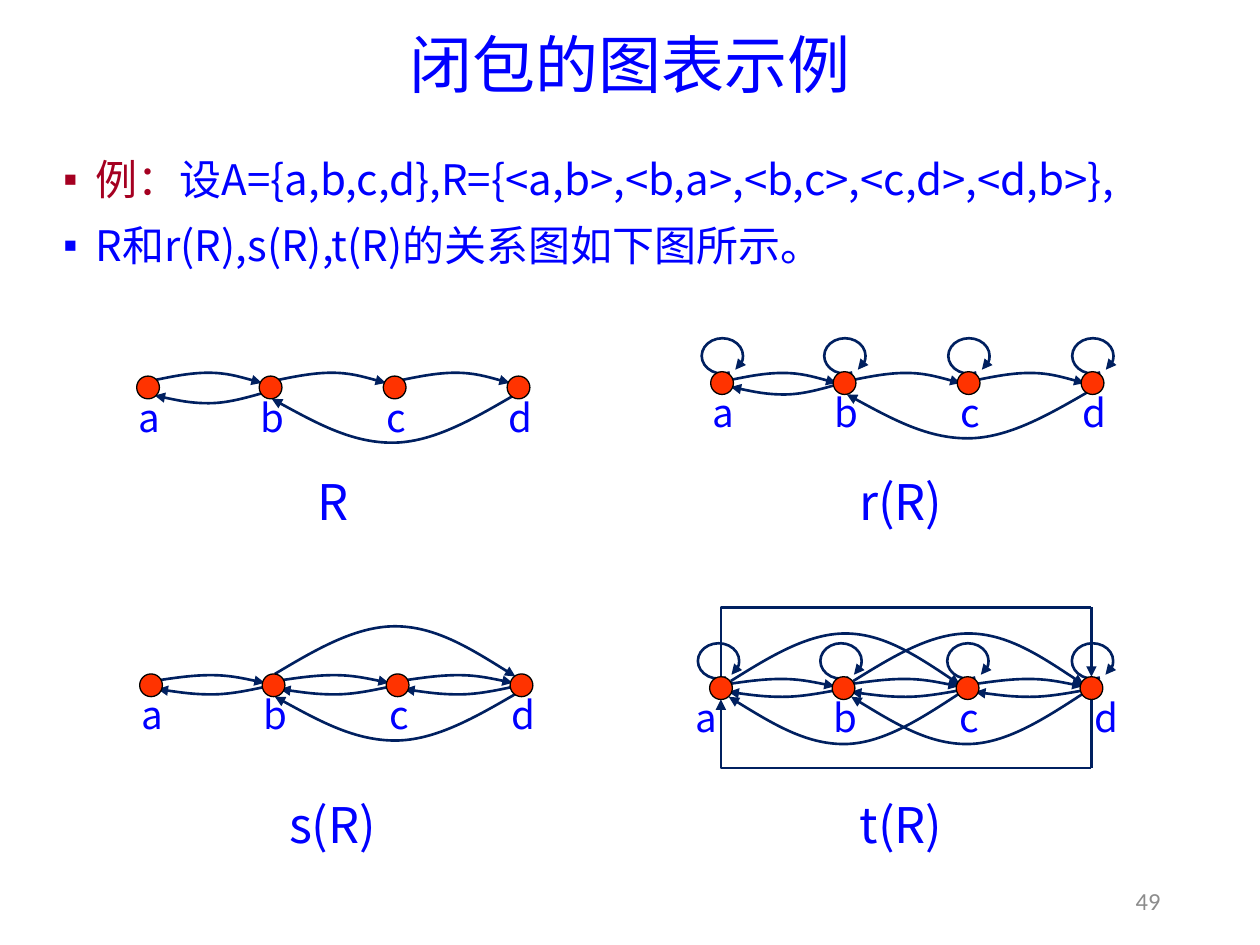
from typing import NamedTuple

from lxml import etree
from pptx import Presentation
from pptx.dml.color import RGBColor
from pptx.enum import shapes, text
from pptx.oxml import ns
from pptx.util import Pt

BLUE = RGBColor(0x00, 0x00, 0xFF)
NAVY = RGBColor(0x00, 0x20, 0x60)
RED = RGBColor(0xFF, 0x33, 0x00)
CRIMSON = RGBColor(0xA5, 0x00, 0x21)
BLACK = RGBColor(0x00, 0x00, 0x00)
GREY = RGBColor(0x8C, 0x8C, 0x8C)
SC, JP = "Noto Sans CJK SC", "Noto Sans CJK JP"

NODES = (0, 70, 140.9, 211.7)
RADIUS = 6.5
LEFT, RIGHT = "headEnd", "tailEnd"
CENTRE = text.PP_ALIGN.CENTER


class Box(NamedTuple):
    x: float
    y: float
    w: float
    h: float


class Bend(NamedTuple):
    x1: float
    y1: float
    peak: float
    x2: float
    y2: float
    arrow: str


class Edges(NamedTuple):
    bend: Bend
    pairs: str


class Graph(NamedTuple):
    name: str
    x: float
    y: float
    caption: Box
    edges: tuple[Edges, ...]
    loops: tuple[float, ...] = ()
    shifts: tuple[float, ...] = (0, 0, 0, 0)
    framed: bool = False


LONG_DOWN = Bend(0.7, 6.5, 31.6, -3.4, 5, LEFT)

TOP_ROW = (
    Graph("R", 84.6, 221.4, Box(173.5, 265.7, 33.1, 41), (
        Edges(Bend(3.8, -4.2, -8.4, -5, -2.6, RIGHT), "ab bc cd"),
        Edges(Bend(3.8, 4.6, 9, -4.4, 3.2, LEFT), "ab"),
        Edges(LONG_DOWN, "bd"),
    )),
    Graph("r(R)", 412.6, 218.9, Box(481, 265.7, 67.7, 41), (
        Edges(Bend(3.8, -1.6, -5.8, -4.6, 0, RIGHT), "ab bc cd"),
        Edges(Bend(5, 2.2, 6.5, -3.8, 0.7, LEFT), "ab"),
        Edges(LONG_DOWN._replace(x1=1.3, x2=-2.4), "bd"),
    ), loops=(-11.6, -11.6, -11.6, -11.6)),
)
BOTTOM_ROW = (
    Graph("s(R)", 86.3, 391.6, Box(156.2, 450.7, 67.7, 41), (
        Edges(Bend(3.2, -2.7, -5.8, -5, -1.4, RIGHT), "ab bc cd"),
        Edges(Bend(3.8, 2.2, 5.2, -4.4, 0.8, LEFT), "ab bc cd"),
        Edges(Bend(0.7, -6.4, -33.7, -3.5, -5, RIGHT), "bd"),
        Edges(LONG_DOWN, "bd"),
    )),
    Graph("t(R)", 412, 393.2, Box(481, 450.7, 67.7, 41), (
        Edges(Bend(3.6, -2.2, -5.2, -5, -1, RIGHT), "ab bc cd"),
        Edges(Bend(4.3, 2.2, 5, -4, 1.2, LEFT), "ab bc cd"),
        Edges(Bend(5.6, -4, -31.2, -4.4, -2, RIGHT), "ac bd"),
        Edges(Bend(4.4, 5, 32, -5, 3.3, LEFT), "ac bd"),
    ), loops=(-13.2, -13.2, -11.6, -11.2), shifts=(-9.5, 0, 0, 7.5),
        framed=True),
)


def apply(obj, values: dict) -> None:
    for name, value in values.items():
        setattr(obj, name, value)


def place(sp, box: Box) -> None:
    apply(sp, dict(zip(("left", "top", "width", "height"), map(Pt, box))))


def add_run(p, words: str, size: float, font: str, colour: RGBColor) -> None:
    r = p.add_run()
    r.text = words
    apply(r.font, {"size": Pt(size), "name": font})
    r.font.color.rgb = colour
    ea = etree.SubElement(r.font._element, ns.qn("a:ea"))
    ea.set("typeface", font)


def add_label(group, words: str, box: Box, size: float) -> None:
    tf = group.add_textbox(*map(Pt, box)).text_frame
    apply(tf, {"word_wrap": True,
               "auto_size": text.MSO_AUTO_SIZE.SHAPE_TO_FIT_TEXT})
    tf.paragraphs[0].alignment = CENTRE
    add_run(tf.paragraphs[0], words, size, SC, BLUE)


def style_line(sp, arrow: str = "") -> None:
    sp.line.color.rgb = NAVY
    sp.line.width = Pt(1.5)
    if arrow:
        end = etree.SubElement(sp.line._get_or_add_ln(), ns.qn("a:" + arrow))
        end.set("type", "triangle")


def add_curve(group, graph: Graph, pair: str, bend: Bend) -> None:
    first, last = (graph.x + NODES["abcd".index(n)] for n in pair)
    x1, x2 = first + bend.x1, last + bend.x2
    y1, peak, y2 = (graph.y + dy for dy in (bend.y1, bend.peak, bend.y2))
    ys = (y1, (y1 + peak) / 2, peak, peak, peak, (y2 + peak) / 2, y2)
    points = [(Pt(x1 + (x2 - x1) * i / 6), Pt(y)) for i, y in enumerate(ys)]
    builder = group.build_freeform(*points[0], scale=1.0)
    builder.add_line_segments(points[1:], close=False)
    sp = builder.convert_to_shape()
    outline = next(sp._element.iter(ns.qn("a:path")))
    segments = outline.findall(ns.qn("a:lnTo"))
    for start in (0, 3):
        cubic = etree.SubElement(outline, ns.qn("a:cubicBezTo"))
        for segment in segments[start:start + 3]:
            cubic.append(segment[0])
            outline.remove(segment)
    sp.shadow.inherit = False
    sp.fill.background()
    style_line(sp, bend.arrow)


def add_loop(group, x: float, y: float) -> None:
    sp = group.add_shape(shapes.MSO_SHAPE.ARC, Pt(x), Pt(y), Pt(23.6), Pt(20.2))
    sp.adjustments[0], sp.adjustments[1] = 66.05 * 0.6, 46.98 * 0.6
    sp.shadow.inherit = False
    sp.fill.background()
    style_line(sp, RIGHT)


def add_node(group, x: float, y: float) -> None:
    sp = group.add_shape(shapes.MSO_SHAPE.FLOWCHART_CONNECTOR, Pt(x - RADIUS),
                         Pt(y - RADIUS), Pt(2 * RADIUS), Pt(2 * RADIUS))
    sp.shadow.inherit = False
    sp.fill.solid()
    sp.fill.fore_color.rgb = RED
    sp.line.color.rgb = BLACK
    sp.line.width = Pt(0.75)


def add_link(group, kind, ends: tuple[float, ...], arrow: str = "") -> None:
    cn = group.add_connector(kind, *map(Pt, ends))
    if kind == shapes.MSO_CONNECTOR.ELBOW:
        next(cn._element.iter(ns.qn("a:prstGeom"))).set("prst", "bentConnector2")
    style_line(cn, arrow)
    etree.SubElement(cn._element.spPr, ns.qn("a:effectLst"))


def add_frame(group, graph: Graph) -> None:
    a, d = graph.x, graph.x + NODES[-1]
    for sign, height, elbow, side in ((-1, 46.2, "", RIGHT), (1, 45.6, RIGHT, "")):
        far, near = graph.y + sign * height, graph.y + sign * RADIUS
        add_link(group, shapes.MSO_CONNECTOR.ELBOW, (d, far, a, near), elbow)
        add_link(group, shapes.MSO_CONNECTOR.STRAIGHT, (d, far, d, near), side)


def add_graph(group, graph: Graph) -> None:
    if graph.framed:
        add_frame(group, graph)
    for edges in graph.edges:
        for pair in edges.pairs.split():
            add_curve(group, graph, pair, edges.bend)
    for node, loop in zip(NODES, graph.loops):
        add_loop(group, graph.x + node + loop, graph.y - 25.6)
    for name, node, shift in zip("abcd", NODES, graph.shifts):
        x = graph.x + node
        add_node(group, x, graph.y)
        add_label(group, name, Box(x - 15.6 + shift, graph.y, 33.1, 33.8), 22)
    add_label(group, graph.name, graph.caption, 28)


def add_bullet(p, runs, before: float) -> None:
    pPr = p._p.get_or_add_pPr()
    pPr.set("marL", str(Pt(18)))
    pPr.set("indent", str(-Pt(18)))
    etree.SubElement(pPr, ns.qn("a:buSzPct")).set("val", "50000")
    etree.SubElement(pPr, ns.qn("a:buChar")).set("char", "■")
    apply(p, {"line_spacing": 0.9, "space_before": Pt(before),
              "space_after": Pt(6)})
    for words, colour in runs:
        add_run(p, words, 24, SC, colour)


def main() -> None:
    prs = Presentation()
    prs.slide_width, prs.slide_height = Pt(720), Pt(540)
    s = prs.slides.add_slide(prs.slide_layouts[1])
    title, body = s.placeholders
    place(title, Box(49.7, 18.7, 620.6, 41))
    place(body, Box(29.5, 87.1, 661, 86.4))
    for sp, anchor in ((title, text.MSO_ANCHOR.MIDDLE), (body, text.MSO_ANCHOR.TOP)):
        apply(sp.text_frame, {"auto_size": text.MSO_AUTO_SIZE.NONE,
                              "word_wrap": True, "vertical_anchor": anchor})
    p = title.text_frame.paragraphs[0]
    apply(p, {"alignment": CENTRE, "line_spacing": 0.9})
    add_run(p, "闭包的图表示例", 36, JP, BLUE)
    tf = body.text_frame
    add_bullet(tf.paragraphs[0], (
        ("例：", CRIMSON),
        ("设A={a,b,c,d},R={<a,b>,<b,a>,<b,c>,<c,d>,<d,b>},", BLUE)), 0)
    add_bullet(tf.add_paragraph(),
               (("R和r(R),s(R),t(R)的关系图如下图所示。", BLUE),), 6)
    tf = s.shapes.add_textbox(Pt(614.9), Pt(500.4), Pt(55.4), Pt(28.8)).text_frame
    apply(tf, {"word_wrap": True, "vertical_anchor": text.MSO_ANCHOR.MIDDLE})
    tf.paragraphs[0].alignment = text.PP_ALIGN.RIGHT
    add_run(tf.paragraphs[0], "49", 14, "Calibri", GREY)
    for row in (BOTTOM_ROW, TOP_ROW):
        group = s.shapes.add_group_shape().shapes
        for graph in row:
            add_graph(group, graph)
    prs.save("out.pptx")


if __name__ == "__main__":
    main()
